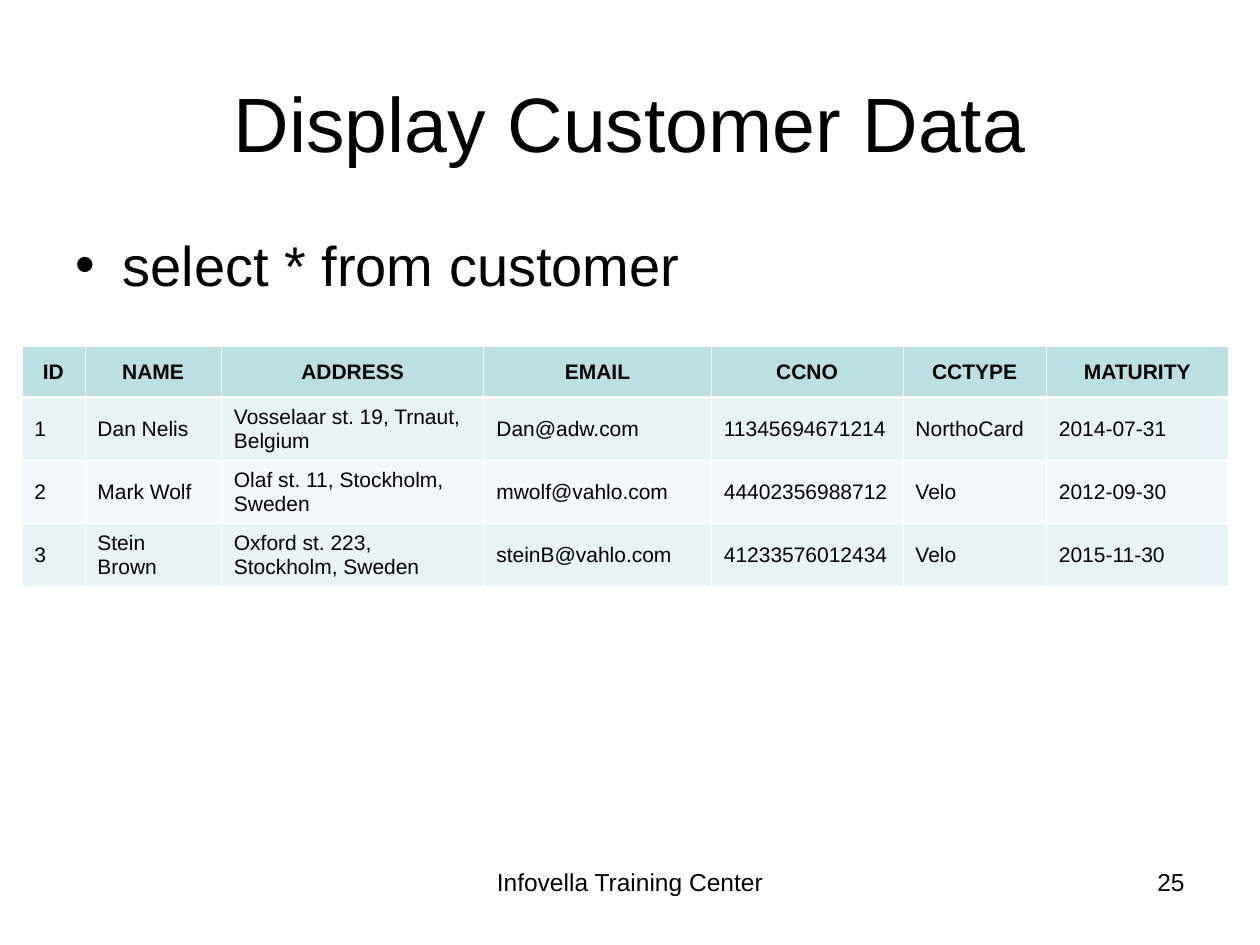
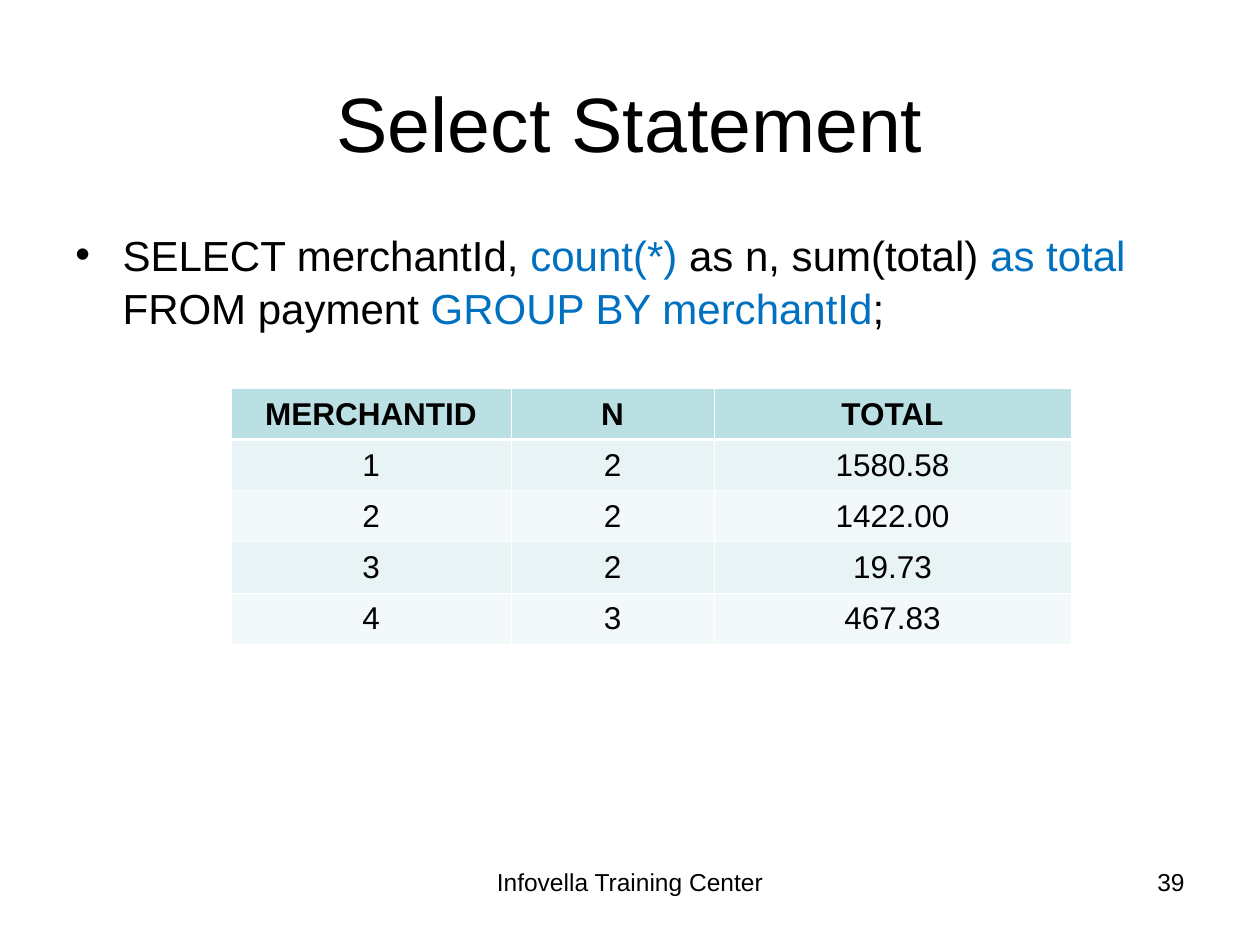
import dataclasses

import pptx
import pptx.dml.color
import pptx.enum.text
import pptx.oxml
import pptx.oxml.ns
import pptx.util

Pt = pptx.util.Pt
ALIGN = pptx.enum.text.PP_ALIGN
ANCHOR = pptx.enum.text.MSO_ANCHOR


@dataclasses.dataclass(frozen=True)
class Theme:
    font: str = "Arial"
    ink: str = "000000"
    keyword: str = "0070C0"
    header: str = "BBE0E3"
    bands: tuple = ("E7F3F4", "F3F9FA")
    rule: str = "FFFFFF"
    thin: float = 0.45
    thick: float = 1.47
    title_size: int = 44
    footer_size: int = 14


THEME = Theme()


def rgb(value):
    return pptx.dml.color.RGBColor.from_string(value)


def xml_element(markup):
    namespace = pptx.oxml.ns.nsdecls("a")
    return pptx.oxml.parse_xml(markup.replace(">", f" {namespace}>", 1))


def write_text(frame, text, *, size, align=ALIGN.LEFT, bold=False, bullet=False, line_spacing=None):
    runs = [(text, THEME.ink)] if isinstance(text, str) else text
    paragraph = frame.paragraphs[0]
    if bullet:
        properties = paragraph._p.get_or_add_pPr()
        properties.set("marL", str(Pt(27)))
        properties.set("indent", str(Pt(-27)))
        properties.append(xml_element(f'<a:buClr><a:srgbClr val="{THEME.ink}"/></a:buClr>'))
        properties.append(xml_element('<a:buFont typeface="Arial"></a:buFont>'))
        properties.append(xml_element('<a:buChar char="•"></a:buChar>'))
    paragraph.alignment = align
    paragraph.line_spacing = line_spacing
    for words, color in runs:
        run = paragraph.add_run()
        run.text = words
        run.font.name = THEME.font
        run.font.size = Pt(size)
        run.font.bold = bold
        run.font.color.rgb = rgb(color)


def add_text(slide, text, left, top, width, height, *, anchor=ANCHOR.TOP, inset_top=3.6, **style):
    frame = slide.shapes.add_textbox(Pt(left), Pt(top), Pt(width), Pt(height)).text_frame
    frame.word_wrap = True
    frame.vertical_anchor = anchor
    frame.margin_top = Pt(inset_top)
    write_text(frame, text, **style)


def add_cell_borders(cell, top, bottom):
    properties = cell._tc.get_or_add_tcPr()
    widths = {"lnL": THEME.thin, "lnR": THEME.thin, "lnT": top, "lnB": bottom}
    for position, (side, width) in enumerate(widths.items()):
        properties.insert(position, xml_element(
            f'<a:{side} w="{Pt(width)}"><a:solidFill><a:srgbClr val="{THEME.rule}"/>'
            f'</a:solidFill></a:{side}>'))


def add_result_table(slide, records, left, top, widths, heights, *, size, align=ALIGN.LEFT):
    table = slide.shapes.add_table(
        len(records), len(widths), Pt(left), Pt(top), Pt(sum(widths)), Pt(sum(heights))).table
    for column, width in zip(table.columns, widths):
        column.width = Pt(width)
    for index, (record, height) in enumerate(zip(records, heights)):
        table.rows[index].height = Pt(height)
        is_header = index == 0
        for cell, value in zip(table.rows[index].cells, record):
            cell.vertical_anchor = ANCHOR.MIDDLE
            cell.fill.solid()
            cell.fill.fore_color.rgb = rgb(THEME.header if is_header else THEME.bands[(index - 1) % 2])
            add_cell_borders(cell,
                             THEME.thick if index == 1 else THEME.thin,
                             THEME.thick if is_header else THEME.thin)
            write_text(cell.text_frame, value, size=size, bold=is_header,
                       align=ALIGN.CENTER if is_header else align)


def add_query_slide(deck, title, query, query_size, page, line_spacing=None):
    slide = deck.slides.add_slide(deck.slide_layouts[6])
    add_text(slide, title, 36, 21.6, 648, 90, anchor=ANCHOR.MIDDLE, inset_top=9.6,
             size=THEME.title_size, align=ALIGN.CENTER)
    add_text(slide, query, 36, 126, 648, 356.4, size=query_size, bullet=True, line_spacing=line_spacing)
    add_text(slide, "Infovella Training Center", 246, 492, 228, 37.5,
             size=THEME.footer_size, align=ALIGN.CENTER)
    add_text(slide, page, 516, 492, 168, 37.5, size=THEME.footer_size, align=ALIGN.RIGHT)
    return slide


def main():
    deck = pptx.Presentation()
    deck.slide_width, deck.slide_height = Pt(720), Pt(540)

    customers = [
        ("ID", "NAME", "ADDRESS", "EMAIL", "CCNO", "CCTYPE", "MATURITY"),
        ("1", "Dan Nelis", "Vosselaar st. 19, Trnaut, Belgium", "Dan@adw.com",
         "11345694671214", "NorthoCard", "2014-07-31"),
        ("2", "Mark Wolf", "Olaf st. 11, Stockholm, Sweden", "mwolf@vahlo.com",
         "44402356988712", "Velo", "2012-09-30"),
        ("3", "Stein Brown", "Oxford st. 223, Stockholm, Sweden", "steinB@vahlo.com",
         "41233576012434", "Velo", "2015-11-30"),
    ]
    customer_slide = add_query_slide(deck, "Display Customer Data", "select * from customer", 32, "25",
                                     line_spacing=1.05)
    add_result_table(customer_slide, customers, 12.5, 198,
                     [36, 78, 150, 130, 109.5, 82, 104], [29.2] + [36] * 3, size=12)

    merchant_totals = [
        ("MERCHANTID", "N", "TOTAL"),
        ("1", "2", "1580.58"),
        ("2", "2", "1422.00"),
        ("3", "2", "19.73"),
        ("4", "3", "467.83"),
    ]
    grouped_query = [
        ("SELECT merchantId, ", THEME.ink),
        ("count(*)", THEME.keyword),
        (" as n, sum(total) ", THEME.ink),
        ("as total", THEME.keyword),
        (" FROM payment ", THEME.ink),
        ("GROUP BY merchantId", THEME.keyword),
        (";", THEME.ink),
    ]
    totals_slide = add_query_slide(deck, "Select Statement", grouped_query, 24, "39", line_spacing=1.05)
    add_result_table(totals_slide, merchant_totals, 132, 222,
                     [160, 116, 204], [29.2] * 5, size=18, align=ALIGN.CENTER)

    deck.save("out.pptx")


if __name__ == "__main__":
    main()
